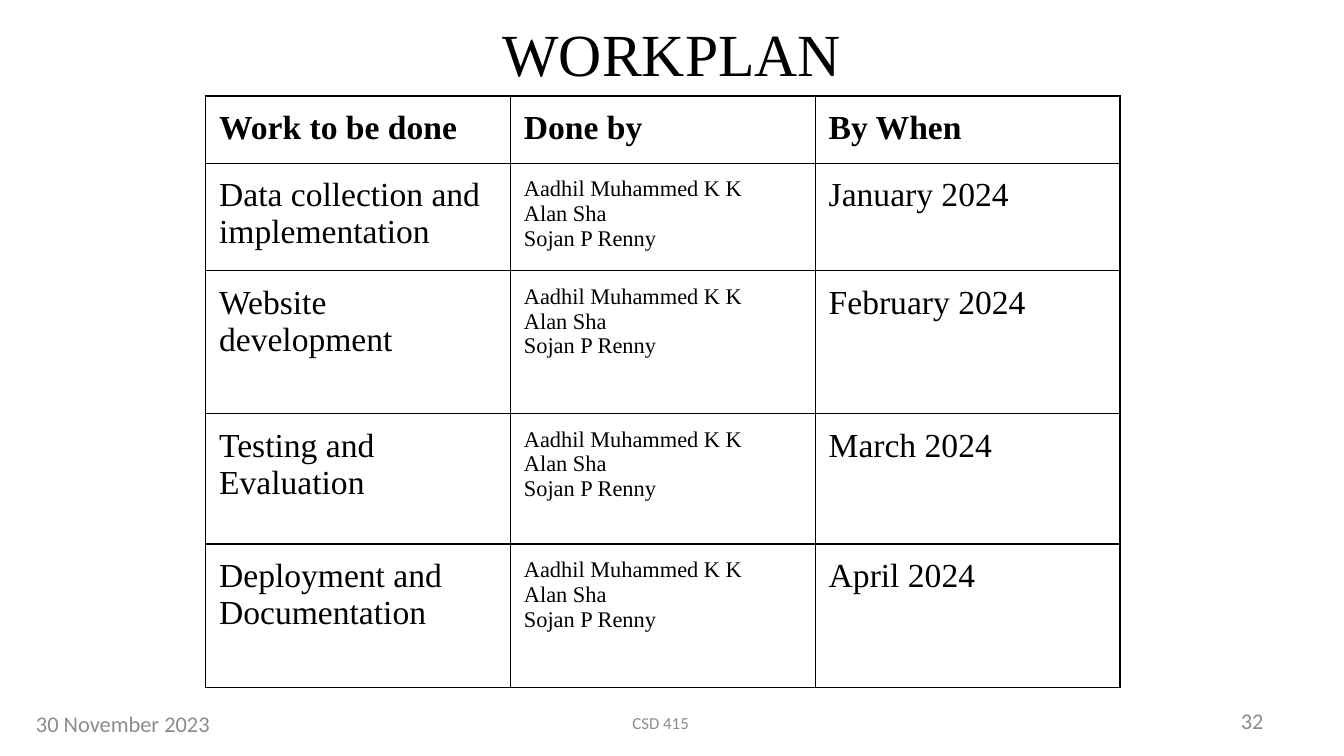
import pptx
import pptx.util
import pptx.dml.color
import pptx.enum.text
import pptx.oxml
import pptx.oxml.ns

Pt = pptx.util.Pt
ALIGN = pptx.enum.text.PP_ALIGN

SERIF, SANS = "Times New Roman", "Calibri"
BLACK, GREY, WHITE = "000000", "8C8C8C", "FFFFFF"

TEAM = ["Aadhil Muhammed K K", "Alan Sha", "Sojan P Renny"]
HEADINGS = ["Work to be done", "Done by", "By When"]
TASKS = [
    ("Data collection and implementation", "January 2024"),
    ("Website development", "February 2024"),
    ("Testing and Evaluation", "March 2024"),
    ("Deployment and Documentation", "April 2024"),
]
ROW_HEIGHTS = [34.8, 55.6, 76.6, 69.8, 76.8]
COLUMN_WIDTH = 163.3
TABLE_LEFT, TABLE_TOP = 110.2, 51.4
CELL_MARGIN = 7.2
BORDER_WIDTH = 0.75

LABELS = [
    ("WORKPLAN", 36, -5.8, 648, 67.7, ALIGN.CENTER, SERIF, 32, BLACK),
    ("30 November 2023", 12.2, 376.6, 167.8, 21.6, ALIGN.LEFT, SANS, 12, GREY),
    ("CSD 415", 239.8, 376.6, 228.2, 21.6, ALIGN.CENTER, SANS, 9, GREY),
    ("32", 516.2, 375.1, 167.8, 21.6, ALIGN.RIGHT, SANS, 12, GREY),
]


def color(value):
    return pptx.dml.color.RGBColor.from_string(value)


def style(para, name, size, value, bold=False):
    para.font.name = name
    para.font.size = Pt(size)
    para.font.bold = bold
    para.font.color.rgb = color(value)


def add_label(slide, text, left, top, width, height, align, name, size, value):
    box = slide.shapes.add_textbox(Pt(left), Pt(top), Pt(width), Pt(height))
    frame = box.text_frame
    frame.word_wrap = True
    frame.vertical_anchor = pptx.enum.text.MSO_ANCHOR.MIDDLE
    frame.text = text
    para = frame.paragraphs[0]
    para.alignment = align
    style(para, name, size, value)


def add_borders(cell):
    properties = cell._tc.get_or_add_tcPr()
    for index, side in enumerate(("lnL", "lnR", "lnT", "lnB")):
        line = pptx.oxml.parse_xml(
            f'<a:{side} {pptx.oxml.ns.nsdecls("a")} w="{Pt(BORDER_WIDTH)}">'
            f'<a:solidFill><a:srgbClr val="{BLACK}"/></a:solidFill></a:{side}>'
        )
        properties.insert(index, line)


def fill_cell(cell, lines, size, bold):
    cell.fill.solid()
    cell.fill.fore_color.rgb = color(WHITE)
    cell.margin_left = cell.margin_right = Pt(CELL_MARGIN)
    cell.margin_top = cell.margin_bottom = Pt(CELL_MARGIN)
    cell.text_frame.text = "\n".join(lines)
    for para in cell.text_frame.paragraphs:
        style(para, SERIF, size, BLACK, bold)
    add_borders(cell)


def add_workplan(slide):
    rows = [[[heading] for heading in HEADINGS]]
    rows += [[[task], TEAM, [month]] for task, month in TASKS]
    table = slide.shapes.add_table(
        len(rows), len(HEADINGS), Pt(TABLE_LEFT), Pt(TABLE_TOP),
        Pt(COLUMN_WIDTH * len(HEADINGS)), Pt(sum(ROW_HEIGHTS)),
    ).table
    for column in table.columns:
        column.width = Pt(COLUMN_WIDTH)
    for r, (row, height) in enumerate(zip(rows, ROW_HEIGHTS)):
        table.rows[r].height = Pt(height)
        for c, lines in enumerate(row):
            size = 12 if lines is TEAM else 18
            fill_cell(table.cell(r, c), lines, size, r == 0)


def main():
    deck = pptx.Presentation()
    deck.slide_width, deck.slide_height = Pt(720), Pt(405)
    page = deck.slides.add_slide(deck.slide_layouts[6])
    for label in LABELS:
        add_label(page, *label)
    add_workplan(page)
    deck.save("out.pptx")


if __name__ == "__main__":
    main()
